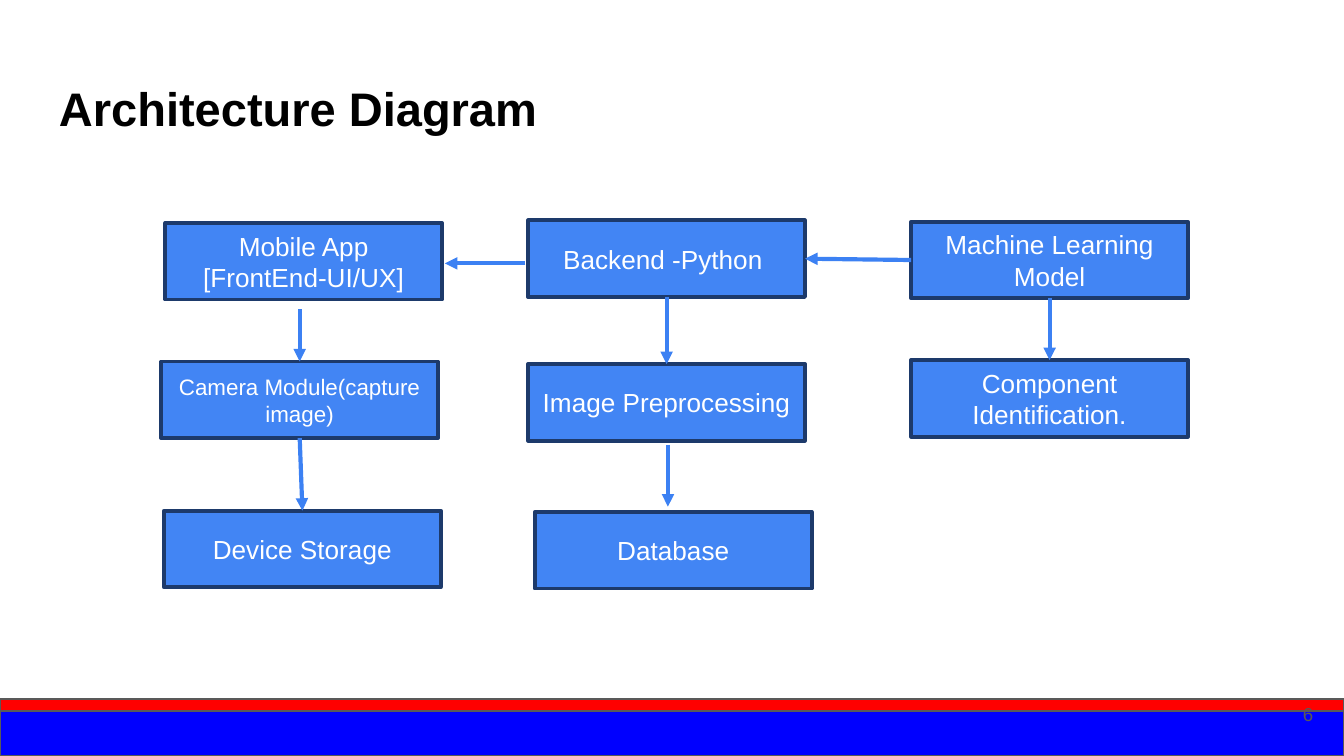
import pptx
import pptx.util
import pptx.dml.color
import pptx.enum.shapes
import pptx.enum.text
import pptx.oxml
import pptx.oxml.ns

Inches, Pt = pptx.util.Inches, pptx.util.Pt
ALIGN = pptx.enum.text.PP_ALIGN
ANCHOR = pptx.enum.text.MSO_ANCHOR
RECT = pptx.enum.shapes.MSO_SHAPE.RECTANGLE
STRAIGHT = pptx.enum.shapes.MSO_CONNECTOR.STRAIGHT

WIDTH = 10
HEIGHT = WIDTH * 9 / 16
COLUMNS = (1.23, 3.93, 6.78)
ROWS = (1.65, 2.69, 3.8)
BOX_W, BOX_H = 2.06, 0.57
TOP, LEFT, BOTTOM, RIGHT = range(4)

# name: (column, row, nudge x, nudge y, paragraphs, text size)
BOXES = {
    "app": (0, 0, 0, 0.01, ["Mobile App", "[FrontEnd-UI/UX]"], 14),
    "camera": (0, 1, -0.03, 0, ["Camera Module(capture image)"], 12),
    "database": (1, 2, 0.05, 0.01, ["Database"], 14),
    "storage": (0, 2, -0.01, 0, ["Device Storage"], 14),
    "component": (2, 1, 0, -0.01, ["Component Identification."], 14),
    "model": (2, 0, 0, 0, ["Machine Learning Model"], 14),
    "preprocessing": (1, 1, 0, 0.02, ["Image Preprocessing"], 14),
    "backend": (1, 0, 0, -0.01, ["Backend -Python "], 14),
}
# Each end is a (box, side) joint or a free (x, y) point
ARROWS = [
    ((3.91, 1.96), (3.31, 1.96)),
    ((2.23, 2.3), ("camera", TOP)),
    (("camera", BOTTOM), ("storage", TOP)),
    (("model", LEFT), ("backend", RIGHT)),
    (("backend", BOTTOM), ("preprocessing", TOP)),
    ((4.97, 3.31), (4.97, 3.77)),
    (("model", BOTTOM), ("component", TOP)),
]
# top, height, fill
BANDS = [(5.28, 0.34, "0000FF"), (5.2, 0.09, "FF0000")]


def rgb(value):
    return pptx.dml.color.RGBColor.from_string(value)


def write(tf, lines, size, color, align, bold=False):
    tf.word_wrap = True
    for i, line in enumerate(lines):
        p = tf.add_paragraph() if i else tf.paragraphs[0]
        p.alignment = align
        r = p.add_run()
        r.text = line
        r.font.name, r.font.size, r.font.bold = "Arial", Pt(size), bold
        r.font.color.rgb = rgb(color)


def add_rect(s, area, fill, line, line_width):
    sp = s.shapes.add_shape(RECT, *map(Inches, area))
    sp.shadow.inherit = False
    sp.fill.solid()
    sp.fill.fore_color.rgb = rgb(fill)
    sp.line.color.rgb = rgb(line)
    sp.line.width = Pt(line_width)
    return sp


def add_label(s, area, text, size, color, align, anchor, bold=False):
    tf = s.shapes.add_textbox(*map(Inches, area)).text_frame
    tf.margin_left = tf.margin_right = Inches(0.1)
    tf.margin_top = tf.margin_bottom = Inches(0.1)
    tf.vertical_anchor = anchor
    write(tf, [text], size, color, align, bold)


def add_arrow(s, start, end, boxes):
    points = [(0, 0) if p[0] in boxes else p for p in (start, end)]
    c = s.shapes.add_connector(STRAIGHT, *(Inches(v) for p in points for v in p))
    for joint, connect in ((start, c.begin_connect), (end, c.end_connect)):
        if joint[0] in boxes:
            connect(boxes[joint[0]], joint[1])
    c.line.color.rgb = rgb("3C81F3")
    c.line.width = Pt(2.25)
    ns = pptx.oxml.ns.nsdecls("a")
    spPr = c._element.spPr
    spPr.ln.append(pptx.oxml.parse_xml(f'<a:tailEnd {ns} type="triangle"/>'))
    spPr.append(pptx.oxml.parse_xml(f"<a:effectLst {ns}/>"))


def main():
    prs = pptx.Presentation()
    prs.slide_width, prs.slide_height = Inches(WIDTH), Inches(HEIGHT)
    s = prs.slides.add_slide(prs.slide_layouts[6])

    for top, height, fill in BANDS:
        add_rect(s, (0, top, WIDTH, height), fill, "595959", 0.75)
    add_label(s, (0.34, 0.49, 9.32, 0.63), "Architecture Diagram", 25.2,
              "000000", ALIGN.LEFT, ANCHOR.TOP, bold=True)
    add_label(s, (9.27, 5.1, 0.6, 0.43), "6", 10,
              "595959", ALIGN.RIGHT, ANCHOR.MIDDLE)

    boxes = {}
    for name, (col, row, dx, dy, lines, size) in BOXES.items():
        area = (COLUMNS[col] + dx, ROWS[row] + dy, BOX_W, BOX_H)
        sp = boxes[name] = add_rect(s, area, "4285F4", "1D3A6B", 2)
        sp.text_frame.vertical_anchor = ANCHOR.MIDDLE
        write(sp.text_frame, lines, size, "FFFFFF", ALIGN.CENTER)
    for start, end in ARROWS:
        add_arrow(s, start, end, boxes)

    prs.save("out.pptx")


if __name__ == "__main__":
    main()
